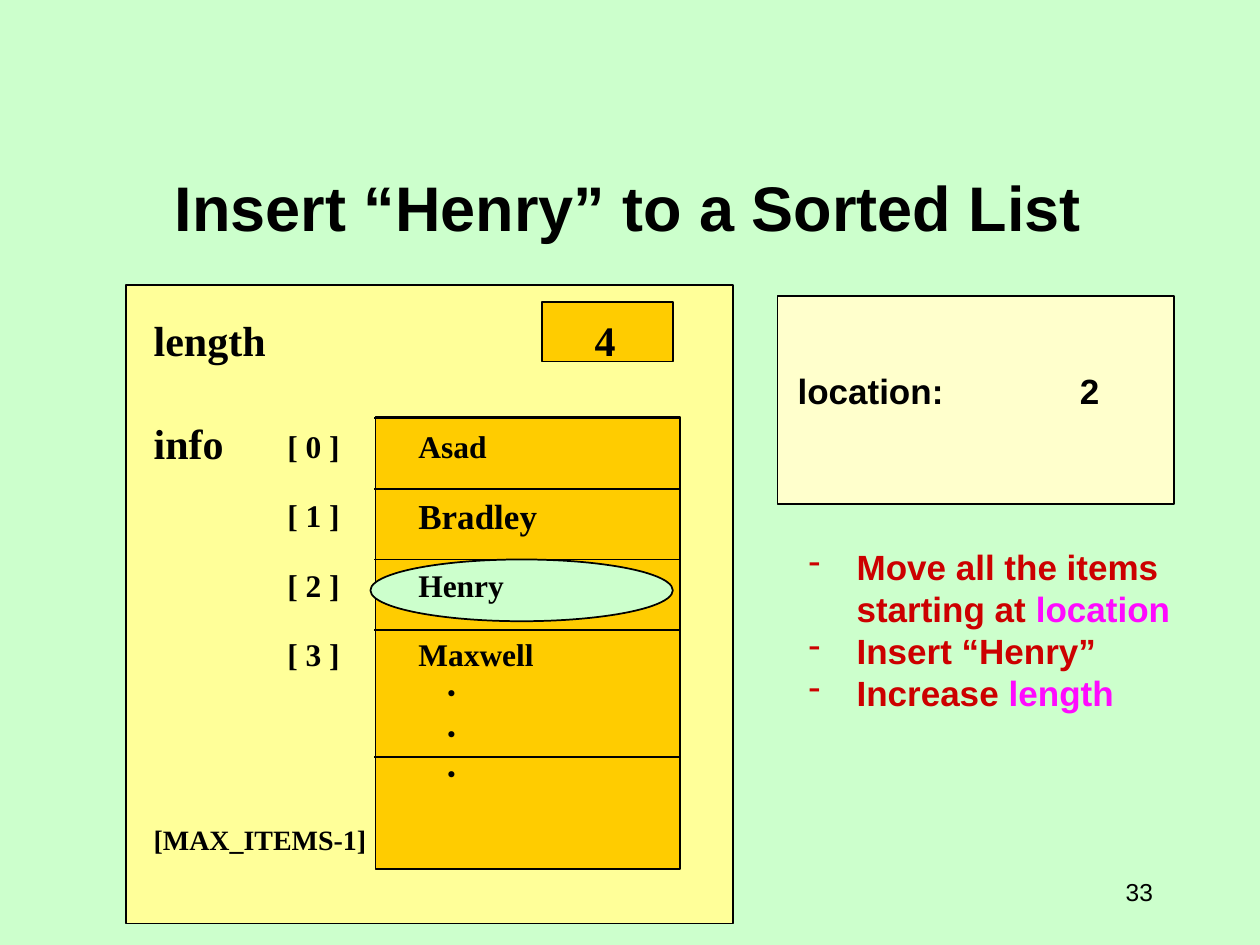
"""Build the slide on inserting Henry into a sorted list."""
import pptx
import pptx.util
import pptx.dml.color
import pptx.enum.shapes
import pptx.enum.text
import lxml.etree

SERIF, SANS = "Times New Roman", "Arial"
TITLE = "Insert “Henry” to a Sorted List"
NAMES = [("Asad", 18), ("Bradley", 20), ("Henry", 18), ("Maxwell", 18)]
STEPS = [
    [("Move all the items starting at ", "CC0000"), ("location", "FF0AFF")],
    [("Insert “Henry”", "CC0000")],
    [("Increase ", "CC0000"), ("length", "FF0AFF")],
]
BOXES = [
    ("RECTANGLE", (6.17, 2.35, 3.15, 1.65), "FFFFCC"),
    ("RECTANGLE", (1, 2.26, 4.82, 5.07), "FFFF99"),
    ("RECTANGLE", (4.3, 2.4, 1.04, 0.47), "FFCC00"),
    ("RECTANGLE", (2.98, 3.31, 2.42, 3.59), "FFCC00"),
]
OVAL = ("OVAL", (2.94, 4.44, 2.4, 0.49), "CCFFCC")
TOP, ROW = 3.32, 0.56
RULES = [TOP + ROW * i for i in range(4)] + [6.01]
LABELS = [
    ("length", 1.22, 2.7, 24, SERIF),
    ("4", 4.72, 2.7, 24, SERIF),
    ("info", 1.22, 3.51, 24, SERIF),
    ("[MAX_ITEMS-1]", 1.22, 6.66, 16, SERIF),
    ("location:", 6.33, 3.1, 20, SANS),
    ("2", 8.57, 3.1, 20, SANS),
]
for i, (name, size) in enumerate(NAMES):
    mid = 3.54 + 0.55 * i
    LABELS += [(f"[ {i} ]", 2.28, mid, 18, SERIF), (name, 3.32, mid, size, SERIF)]
LABELS += [(".", 3.55, 5.43 + 0.32 * i, 18, "Montserrat") for i in range(3)]

inch = pptx.util.Inches
align = pptx.enum.text.PP_ALIGN
anchor = pptx.enum.text.MSO_ANCHOR


def color(code):
    return pptx.dml.color.RGBColor.from_string(code)


def stroke(line):
    line.color.rgb = color("000000")
    line.width = pptx.util.Pt(1)


def draw(kind, spot, fill):
    shape = slide.shapes.add_shape(
        getattr(pptx.enum.shapes.MSO_SHAPE, kind), *map(inch, spot))
    shape.shadow.inherit = False
    shape.fill.solid()
    shape.fill.fore_color.rgb = color(fill)
    stroke(shape.line)


def rule(y):
    line = slide.shapes.add_connector(
        pptx.enum.shapes.MSO_CONNECTOR.STRAIGHT, *map(inch, (2.97, y, 5.4, y)))
    stroke(line.line)
    lxml.etree.SubElement(line._element.spPr, pptx.oxml.ns.qn("a:effectLst"))


def write(paras, spot, size, face=SANS, bold=True, side=align.LEFT,
          hold=anchor.MIDDLE, wrap=True, inset=0.1):
    frame = slide.shapes.add_textbox(*map(inch, spot)).text_frame
    frame.word_wrap = wrap
    frame.vertical_anchor = hold
    frame.margin_left = frame.margin_right = inch(inset)
    for i, runs in enumerate(paras):
        para = frame.add_paragraph() if i else frame.paragraphs[0]
        para.alignment = side
        font = para.font
        font.name, font.size, font.bold = face, pptx.util.Pt(size), bold
        for text, code in runs:
            run = para.add_run()
            run.text = text
            run.font.color.rgb = color(code)
    return frame


def dash(para):
    props = para._p.get_or_add_pPr()
    props.set("marL", str(inch(0.38)))
    props.set("indent", str(-inch(0.38)))
    mark = lxml.etree.Element(pptx.oxml.ns.qn("a:buChar"), char="-")
    props.insert(0, mark)


deck = pptx.Presentation()
deck.slide_width, deck.slide_height = inch(10), inch(7.5)
slide = deck.slides.add_slide(deck.slide_layouts[6])
slide.background.fill.solid()
slide.background.fill.fore_color.rgb = color("CCFFCC")

write([[(TITLE, "000000")]], (0.11, 1.07, 9.75, 0.92), 36,
      side=align.CENTER, hold=anchor.BOTTOM)
for box in BOXES:
    draw(*box)
for y in RULES:
    rule(y)
draw(*OVAL)
for text, left, mid, size, face in LABELS:
    write([[(text, "000000")]], (left, mid - 0.25, 1.75, 0.5), size, face, inset=0)
steps = write(STEPS, (6.32, 4.28, 3.41, 1.45), 20, hold=anchor.TOP)
for para in steps.paragraphs:
    dash(para)
write([[("33", "000000")]], (8.58, 6.83, 0.67, 0.5), 14, bold=False,
      side=align.RIGHT, wrap=False)
deck.save("out.pptx")
